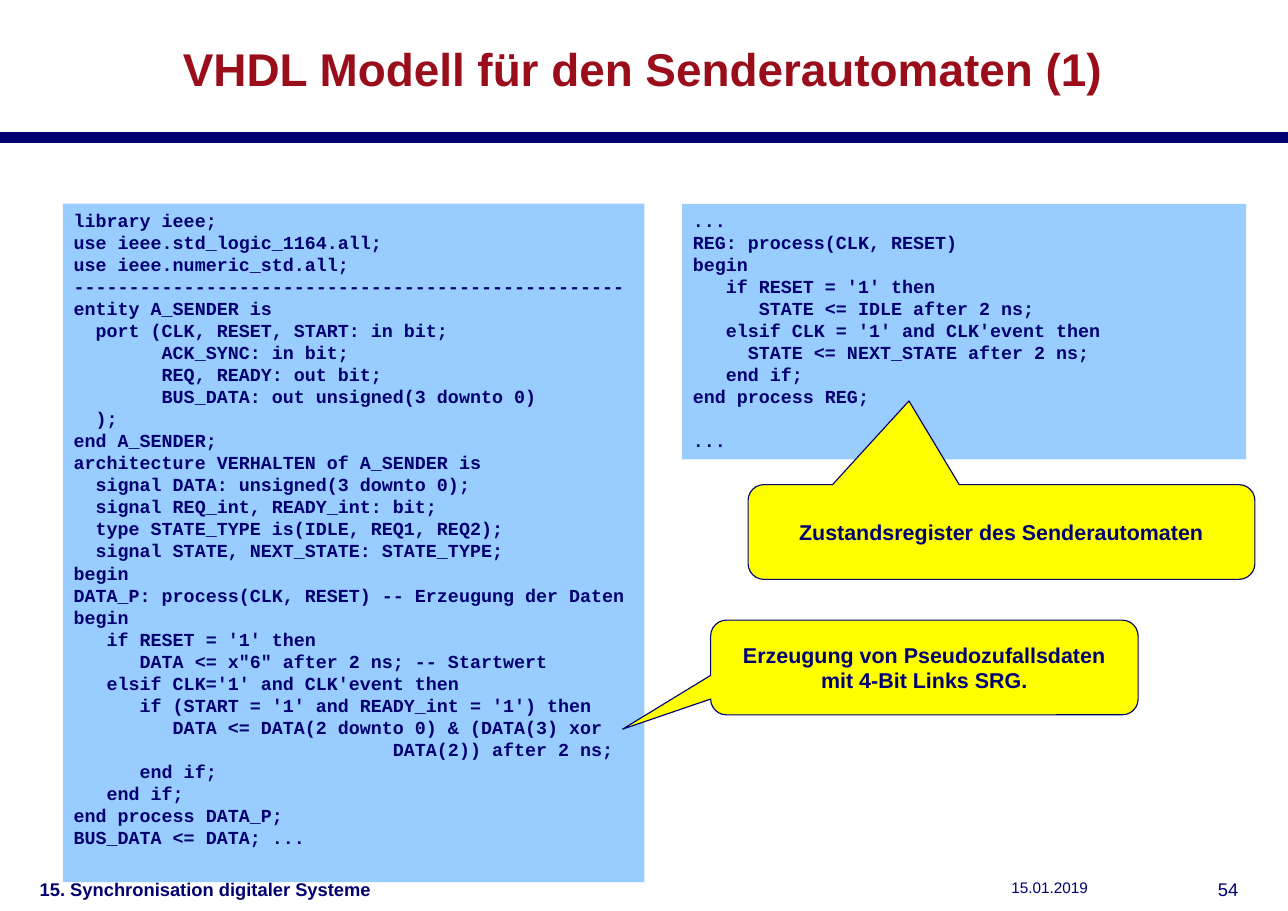
from lxml.etree import SubElement
from pptx import Presentation
from pptx.dml.color import RGBColor
from pptx.enum.shapes import MSO_CONNECTOR as CONNECTOR, MSO_SHAPE as SHAPE
from pptx.enum.text import MSO_ANCHOR as ANCHOR, PP_ALIGN as ALIGN
from pptx.oxml.ns import qn
from pptx.util import Inches, Pt

COLORS = {"navy": "000070", "red": "9A0E1B", "code": "99CCFF", "callout": "FFFF00"}
CODE_FONT = {"name": "Courier New", "size": Pt(12), "bold": True}
CALLOUT_FONT = {"name": "Arial", "size": Pt(14), "bold": True}
TITLE_FONT = {"name": "Arial", "size": Pt(30), "bold": True}
FOOTER_FONT = {"name": "Arial", "size": Pt(12), "bold": False}
LINE_PITCH = Pt(14.4)

ENTITY_CODE = """library ieee;
use ieee.std_logic_1164.all;
use ieee.numeric_std.all;
--------------------------------------------------
entity A_SENDER is
  port (CLK, RESET, START: in bit;
        ACK_SYNC: in bit;
        REQ, READY: out bit;
        BUS_DATA: out unsigned(3 downto 0)
  );
end A_SENDER;"""

SIGNAL_CODE = """architecture VERHALTEN of A_SENDER is
  signal DATA: unsigned(3 downto 0);
  signal REQ_int, READY_int: bit;
  type STATE_TYPE is(IDLE, REQ1, REQ2);
  signal STATE, NEXT_STATE: STATE_TYPE;
begin"""

DATA_CODE = """DATA_P: process(CLK, RESET) -- Erzeugung der Daten
begin
   if RESET = '1' then
      DATA <= x"6" after 2 ns; -- Startwert
   elsif CLK='1' and CLK'event then
      if (START = '1' and READY_int = '1') then
         DATA <= DATA(2 downto 0) & (DATA(3) xor
                             DATA(2)) after 2 ns;
      end if;
   end if;
end process DATA_P;
BUS_DATA <= DATA; ..."""

REGISTER_CODE = """...
REG: process(CLK, RESET)
begin
   if RESET = '1' then
      STATE <= IDLE after 2 ns;
   elsif CLK = '1' and CLK'event then
     STATE <= NEXT_STATE after 2 ns;
   end if;
end process REG;

..."""


def color(name):
    return RGBColor.from_string(COLORS[name])


def add_span(para, text, font, ink="navy"):
    span = para.add_run()
    span.text = text
    for key, value in font.items():
        setattr(span.font, key, value)
    span.font.color.rgb = color(ink)


def add_filled(page, box, kind, fill):
    shape = page.shapes.add_shape(kind, *map(Inches, box))
    shape.shadow.inherit = False
    shape.fill.solid()
    shape.fill.fore_color.rgb = color(fill)
    shape.line.fill.background()
    shape.text_frame.word_wrap = True
    return shape


def add_label(page, box, text, font, align=ALIGN.LEFT, anchor=ANCHOR.TOP, ink="navy"):
    frame = page.shapes.add_textbox(*map(Inches, box)).text_frame
    layout = {"word_wrap": True, "vertical_anchor": anchor,
              "margin_left": Inches(0.11), "margin_right": Inches(0.11)}
    for key, value in layout.items():
        setattr(frame, key, value)
    para = frame.paragraphs[0]
    para.alignment = align
    add_span(para, text, font, ink)


def add_header(page, box):
    left, top, width, height = box
    add_label(page, (left + 0.25, top + 0.28, width - 0.52, 0.68),
              "VHDL Modell für den Senderautomaten (1)", TITLE_FONT,
              ALIGN.CENTER, ANCHOR.MIDDLE, "red")
    rule = page.shapes.add_connector(
        CONNECTOR.STRAIGHT, Inches(left), Inches(top + height),
        Inches(left + width), Inches(top + height))
    rule.line.color.rgb = color("navy")
    rule.line.width = Pt(7.09)
    SubElement(rule.element.spPr, qn("a:effectLst"))


def add_code(page, box, *sections):
    frame = add_filled(page, box, SHAPE.RECTANGLE, "code").text_frame
    frame.vertical_anchor = ANCHOR.TOP
    para, gap = frame.paragraphs[0], 0
    for index, line in enumerate("\n".join(sections).split("\n")):
        if not line:
            gap = LINE_PITCH
            continue
        if index:
            para = frame.add_paragraph()
        layout = {"alignment": ALIGN.LEFT, "line_spacing": LINE_PITCH, "space_before": gap}
        for key, value in layout.items():
            setattr(para, key, value)
        add_span(para, line, CODE_FONT)
        gap = 0


def add_callout(page, box, text, tip):
    shape = add_filled(page, box, SHAPE.ROUNDED_RECTANGULAR_CALLOUT, "callout")
    left, top, width, height = box
    shape.adjustments[0] = (tip[0] - left) / width - 0.5
    shape.adjustments[1] = (tip[1] - top) / height - 0.5
    shape.line.color.rgb = color("navy")
    shape.line.width = Pt(0.75)
    shape.text_frame.vertical_anchor = ANCHOR.MIDDLE
    para = shape.text_frame.paragraphs[0]
    para.alignment = ALIGN.CENTER
    add_span(para, text, CALLOUT_FONT)


def add_footer(page, box):
    left, top, width, height = box
    add_label(page, (left, top, 3.31, height),
              "15. Synchronisation digitaler Systeme", FOOTER_FONT | {"bold": True})
    add_label(page, (left + 8.82, top, 1.65, height),
              "15.01.2019", FOOTER_FONT | {"size": Pt(10)})
    add_label(page, (left + width - 0.47, top, 0.47, height),
              "54", FOOTER_FONT, ALIGN.RIGHT)


def main():
    deck = Presentation()
    deck.slide_width, deck.slide_height = Inches(11.69), Inches(8.27)
    page = deck.slides.add_slide(deck.slide_layouts[6])
    add_header(page, (0, 0, 11.69, 1.25))
    add_code(page, (0.57, 1.85, 5.28, 6.16), ENTITY_CODE, SIGNAL_CODE, DATA_CODE)
    add_footer(page, (0.25, 7.92, 11.1, 0.35))
    add_code(page, (6.19, 1.85, 5.12, 2.32), REGISTER_CODE)
    add_callout(page, (6.79, 4.4, 4.6, 0.86),
                "Zustandsregister des Senderautomaten", (8.25, 3.64))
    add_callout(page, (6.45, 5.63, 3.88, 0.86),
                "Erzeugung von Pseudozufallsdaten mit 4-Bit Links SRG.", (5.65, 6.62))
    deck.save("out.pptx")


if __name__ == "__main__":
    main()
